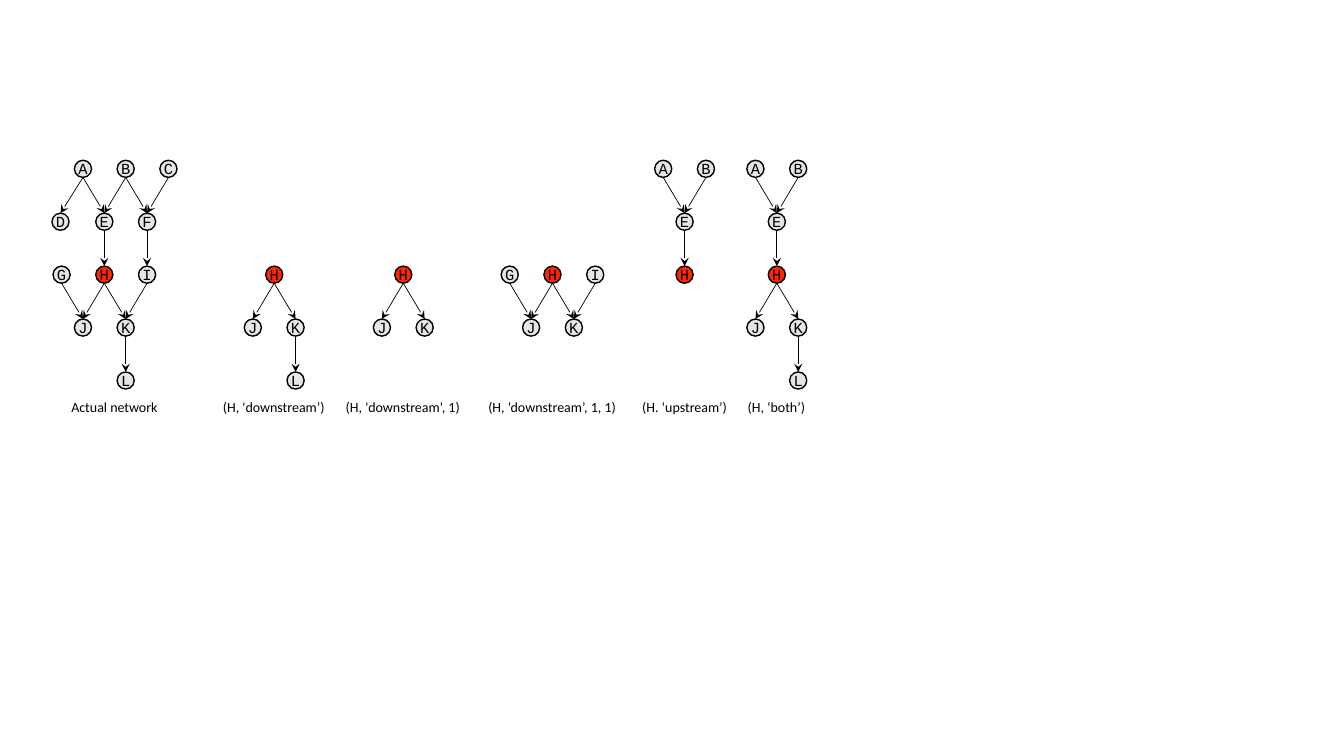
from lxml import etree
from pptx import Presentation
from pptx import util as u
from pptx.dml.color import RGBColor
from pptx.enum import shapes, text
from pptx.oxml import ns

BLACK = RGBColor(0x00, 0x00, 0x00)
GRAY = RGBColor(0xE7, 0xE6, 0xE6)
RED = RGBColor(0xFF, 0x26, 0x00)

# Columns count half steps from the selected node H.
GENES = {
    "A": (-1, 0), "B": (1, 0), "C": (3, 0),
    "D": (-2.05, 1), "E": (0, 1), "F": (2, 1),
    "G": (-2, 2), "H": (0, 2), "I": (2, 2),
    "J": (-1, 3), "K": (1, 3), "L": (1, 4),
}
LINKS = ["AD", "AE", "BE", "BF", "CF", "EH", "FI", "GJ", "HJ", "HK", "IK", "KL"]
SELECTED = "H"
NETWORKS = [
    ("Actual network", "ABCDEFGHIJKL", 1.035, 1.135, 1.07),
    ("(H, 'downstream’)", "HJKL", 2.72, 2.715, 1.23),
    ("(H, 'downstream’, 1)", "HJK", 4.0, 3.995, 1.37),
    ("(H, ‘downstream’, 1, 1)", "GHIJK", 5.48, 5.475, 1.51),
    ("(H. ‘upstream’)", "ABEH", 6.79, 6.79, 1.06),
    ("(H, ‘both’)", "ABEHJKL", 7.705, 7.7, 0.78),
]

HALF_STEP, ROW_STEP = 0.212, 0.525
TOP_ROW = 1.675
DIAMETER = 0.17
CAPTION_TOP, CAPTION_HEIGHT = 3.9, 0.27

GENE_FRAME = {
    "margin_left": 0, "margin_right": 0,
    "margin_top": u.Inches(0.05), "margin_bottom": u.Inches(0.05),
    "vertical_anchor": text.MSO_ANCHOR.MIDDLE,
}
CAPTION_FRAME = {"word_wrap": False, "auto_size": text.MSO_AUTO_SIZE.SHAPE_TO_FIT_TEXT}
GENE_FONT = {"name": "Courier New", "size": u.Pt(11)}
CAPTION_FONT = {"name": "Calibri", "size": u.Pt(10)}


def apply(target, formats):
    for attribute, value in formats.items():
        setattr(target, attribute, value)


def write(holder, words, frame_format, font_format):
    frame = holder.text_frame
    apply(frame, frame_format)
    paragraph = frame.paragraphs[0]
    paragraph.alignment = text.PP_ALIGN.CENTER
    label = paragraph.add_run()
    label.text = words
    apply(label.font, font_format)
    label.font.color.rgb = BLACK


def center(gene, origin):
    column, row = GENES[gene]
    return origin + column * HALF_STEP, TOP_ROW + row * ROW_STEP


def draw_gene(network, gene, origin):
    x, y = center(gene, origin)
    box = [u.Inches(v) for v in (x - DIAMETER / 2, y - DIAMETER / 2, DIAMETER, DIAMETER)]
    circle = network.add_shape(shapes.MSO_SHAPE.OVAL, *box)
    circle.shadow.inherit = False
    circle.fill.solid()
    circle.fill.fore_color.rgb = RED if gene == SELECTED else GRAY
    circle.line.color.rgb = BLACK
    circle.line.width = u.Pt(1)
    write(circle, gene, GENE_FRAME, GENE_FONT)


def draw_link(network, source, target, origin):
    x1, y1 = center(source, origin)
    x2, y2 = center(target, origin)
    ends = [u.Inches(v) for v in (x1, y1 + DIAMETER / 2, x2, y2 - DIAMETER / 2)]
    arrow = network.add_connector(shapes.MSO_CONNECTOR.STRAIGHT, *ends)
    arrow.line.color.rgb = BLACK
    arrow.line.width = u.Pt(0.5)
    properties = arrow._element.spPr
    outline = properties.find(ns.qn("a:ln"))
    etree.SubElement(outline, ns.qn("a:tailEnd"), type="stealth")
    etree.SubElement(properties, ns.qn("a:effectLst"))


prs = Presentation()
prs.slide_width, prs.slide_height = u.Inches(13.33), u.Inches(7.5)
slide = prs.slides.add_slide(prs.slide_layouts[6])

for caption, genes, origin, caption_center, width in NETWORKS:
    network = slide.shapes.add_group_shape().shapes
    for gene in genes:
        draw_gene(network, gene, origin)
    for source, target in LINKS:
        if source in genes and target in genes:
            draw_link(network, source, target, origin)
    box = (caption_center - width / 2, CAPTION_TOP, width, CAPTION_HEIGHT)
    caption_box = network.add_textbox(*[u.Inches(v) for v in box])
    write(caption_box, caption, CAPTION_FRAME, CAPTION_FONT)

prs.save("out.pptx")
